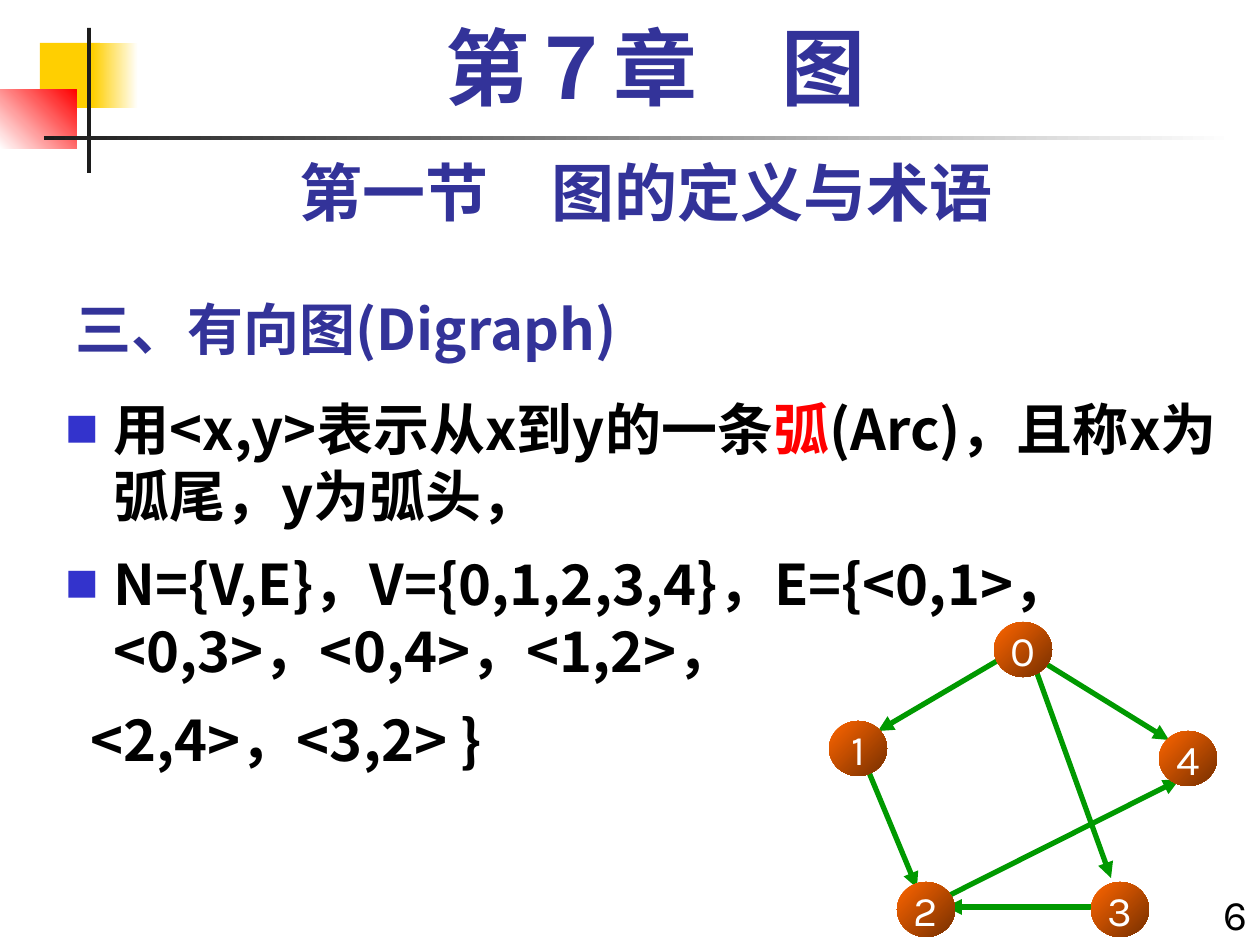
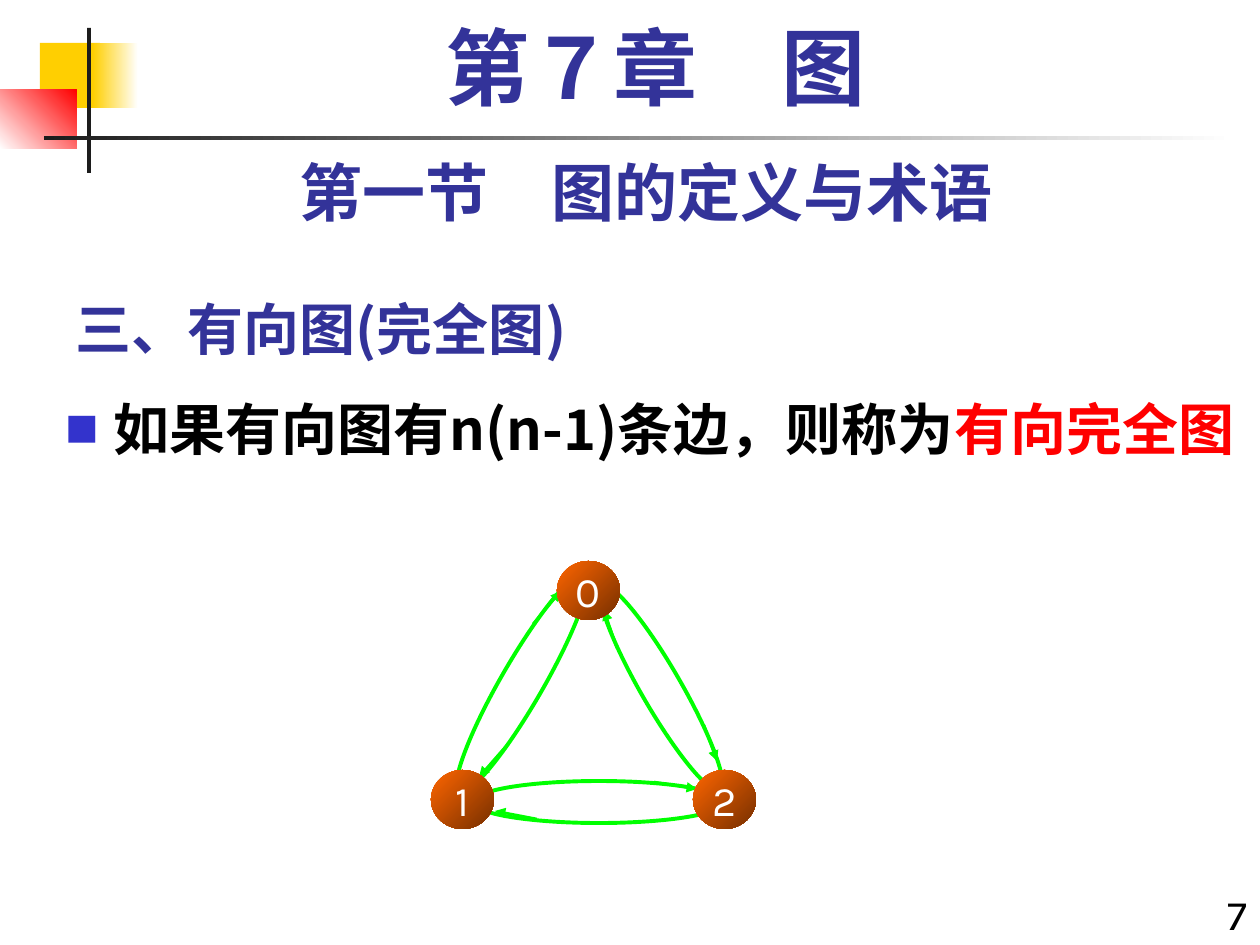
import pptx
import pptx.util
import pptx.dml.color
import pptx.enum.shapes
import pptx.enum.text
import pptx.oxml.ns
from lxml import etree

PX = 914400 / 126
INK = {
    "title": "333399", "text": "000000", "key": "FF0000", "bullet": "3333CC",
    "gold": "FFCF01", "white": "FFFFFF", "dark": "1C1C1C",
    "edge": "009900", "arc": "00FF00", "lit": "FF6600", "shade": "762F00",
}
HAN, SANS, SERIF = "Noto Sans CJK SC", "Karla", "Times New Roman"
SHAPE = pptx.enum.shapes.MSO_SHAPE
ALIGN = pptx.enum.text.PP_ALIGN
ANCHOR = pptx.enum.text.MSO_ANCHOR

CHAPTER = "第７章　图"
SECTION = "第一节　图的定义与术语"

# box, colours (two make a gradient), clockwise angle
BANDS = [
    ((40, 43, 60, 65), ["gold"], 0),
    ((93, 43, 45, 65), ["gold", "white"], 0),
    ((0, 90, 77, 59), ["white", "key"], 315),
    ((87, 28, 4, 145), ["dark"], 0),
    ((44, 136, 1191, 4), ["dark", "white"], 0),
]

# body: (has bullet, runs); lines: (x1, y1, x2, y2); ovals: (box, turn)
SLIDES = [
    {
        "number": 6,
        "head": "三、有向图(Digraph)",
        "body": [
            (True, [("用<x,y>表示从x到y的一条", "text"), ("弧", "key"),
                    ("(Arc)，且称x为弧尾，y为弧头，", "text")]),
            (True, [("N={V,E}，V={0,1,2,3,4}，E={<0,1>，<0,3>，<0,4>，<1,2>，",
                     "text")]),
            (False, [("<2,4>，<3,2> }", "text")]),
        ],
        "ovals": [],
        "lines": [
            (1043, 662, 1169, 740), (868, 770, 917, 888),
            (1014, 651, 878, 731), (1033, 662, 1111, 878),
            (1091, 907, 946, 907), (946, 897, 1179, 780),
        ],
        "stroke": ("edge", 3),
        "size": (58, 55),
        "nodes": {1: (829, 721), 3: (1091, 882), 2: (897, 882),
                  4: (1159, 731), 0: (994, 622)},
    },
    {
        "number": 7,
        "head": "三、有向图(完全图)",
        "body": [
            (True, [("如果有向图有n(n-1)条边，则称为", "text"),
                    ("有向完全图", "key")]),
        ],
        "ovals": [((473, 781, 252, 42), 0), ((396, 662, 252, 42), 300),
                  ((543, 668, 236, 40), 60)],
        "lines": [
            (654, 782, 697, 789), (537, 819, 495, 811),
            (533, 624, 561, 591), (507, 745, 479, 777),
            (704, 725, 717, 761), (617, 648, 604, 610),
        ],
        "stroke": ("arc", 1.5),
        "size": (63, 59),
        "nodes": {1: (431, 770), 2: (693, 770), 0: (557, 561)},
    },
]


def emu(*px):
    return [round(n * PX) for n in px]


def rgb(name):
    return pptx.dml.color.RGBColor.from_string(INK[name])


def sub(node, tag, **attrs):
    return etree.SubElement(node, pptx.oxml.ns.qn(tag), **attrs)


def paint(shape, inks, angle=0):
    if len(inks) == 1:
        shape.fill.solid()
        shape.fill.fore_color.rgb = rgb(inks[0])
    else:
        shape.fill.gradient()
        shape.fill.gradient_angle = (360 - angle) % 360
        for stop, ink in zip(shape.fill.gradient_stops, inks):
            stop.color.rgb = rgb(ink)


def add_form(shapes, kind, box):
    """Add a preset shape with no shadow and no outline."""
    shape = shapes.add_shape(kind, *emu(*box))
    shape.shadow.inherit = False
    shape.line.fill.background()
    return shape


def add_run(para, text, size, font, ink, bold=False):
    run = para.add_run()
    run.text = text
    run.font.size = pptx.util.Pt(size)
    run.font.name = font
    run.font.bold = bold
    run.font.color.rgb = rgb(ink)
    sub(run.font._element, "a:ea", typeface=HAN)


def add_box(slide, box, anchor=ANCHOR.TOP):
    frame = slide.shapes.add_textbox(*emu(*box)).text_frame
    frame.word_wrap = True
    frame.vertical_anchor = anchor
    return frame


def add_line(slide, box, text, size, font, ink="title", bold=True,
             align=ALIGN.LEFT, anchor=ANCHOR.TOP):
    """Add a box with one paragraph of one run."""
    para = add_box(slide, box, anchor).paragraphs[0]
    para.alignment = align
    add_run(para, text, size, font, ink, bold)
    return para


def indent(para, bullet):
    props = para._p.get_or_add_pPr()
    left, hang = emu(48, -48) if bullet else emu(25, 0)
    props.set("marL", str(left))
    props.set("indent", str(hang))
    if bullet:
        sub(sub(props, "a:buClr"), "a:srgbClr", val=INK["bullet"])
        sub(props, "a:buSzPct", val="60000")
        sub(props, "a:buFont", typeface=HAN)
        sub(props, "a:buChar", char="■")
    else:
        sub(props, "a:buNone")


def add_body(slide, items):
    frame = add_box(slide, (53, 388, 1207, 557))
    for i, (bullet, runs) in enumerate(items):
        para = frame.add_paragraph() if i else frame.paragraphs[0]
        indent(para, bullet)
        if i:
            para.space_before = pptx.util.Pt(12)
        for text, ink in runs:
            add_run(para, text, 32, HAN, ink, True)


def add_arrow(shapes, ends, ink, width):
    kind = pptx.enum.shapes.MSO_CONNECTOR.STRAIGHT
    arrow = shapes.add_connector(kind, *emu(*ends))
    arrow.line.color.rgb = rgb(ink)
    arrow.line.width = pptx.util.Pt(width)
    sub(arrow.line._get_or_add_ln(), "a:tailEnd", type="triangle")
    sub(arrow._element.spPr, "a:effectLst")


def add_node(shapes, label, box):
    node = add_form(shapes, SHAPE.OVAL, box)
    paint(node, ["lit", "shade"], 45)
    frame = node.text_frame
    frame.word_wrap = False
    frame.margin_left = frame.margin_right = 0
    frame.vertical_anchor = ANCHOR.MIDDLE
    para = frame.paragraphs[0]
    para.alignment = ALIGN.CENTER
    add_run(para, str(label), 24, SANS, "white")


def add_graph(slide, data):
    shapes = slide.shapes.add_group_shape().shapes
    for box, turn in data["ovals"]:
        oval = add_form(shapes, SHAPE.OVAL, box)
        oval.fill.background()
        oval.line.color.rgb = rgb("arc")
        oval.line.width = pptx.util.Pt(2.25)
        oval.rotation = turn
    for ends in data["lines"]:
        add_arrow(shapes, ends, *data["stroke"])
    for label, place in data["nodes"].items():
        add_node(shapes, label, place + data["size"])


def add_frame(slide, number):
    """Add what every slide shares: bands, chapter, section and number."""
    for box, inks, angle in BANDS:
        paint(add_form(slide.shapes, SHAPE.RECTANGLE, box), inks, angle)
    add_line(slide, (1176, 882, 84, 74), str(number), 24, SANS, "text",
             False, ALIGN.RIGHT)
    add_line(slide, (63, 147, 1166, 88), SECTION, 36, SANS,
             align=ALIGN.CENTER)
    para = add_line(slide, (84, 21, 1144, 105), CHAPTER, 48, SERIF,
                    align=ALIGN.CENTER)
    para.line_spacing = 0.9


def main():
    deck = pptx.Presentation()
    deck.slide_width, deck.slide_height = emu(1260, 945)
    for data in SLIDES:
        slide = deck.slides.add_slide(deck.slide_layouts[6])
        add_frame(slide, data["number"])
        add_line(slide, (63, 273, 788, 95), data["head"], 32, HAN,
                 anchor=ANCHOR.BOTTOM)
        add_body(slide, data["body"])
        add_graph(slide, data)
    deck.save("out.pptx")


if __name__ == "__main__":
    main()
